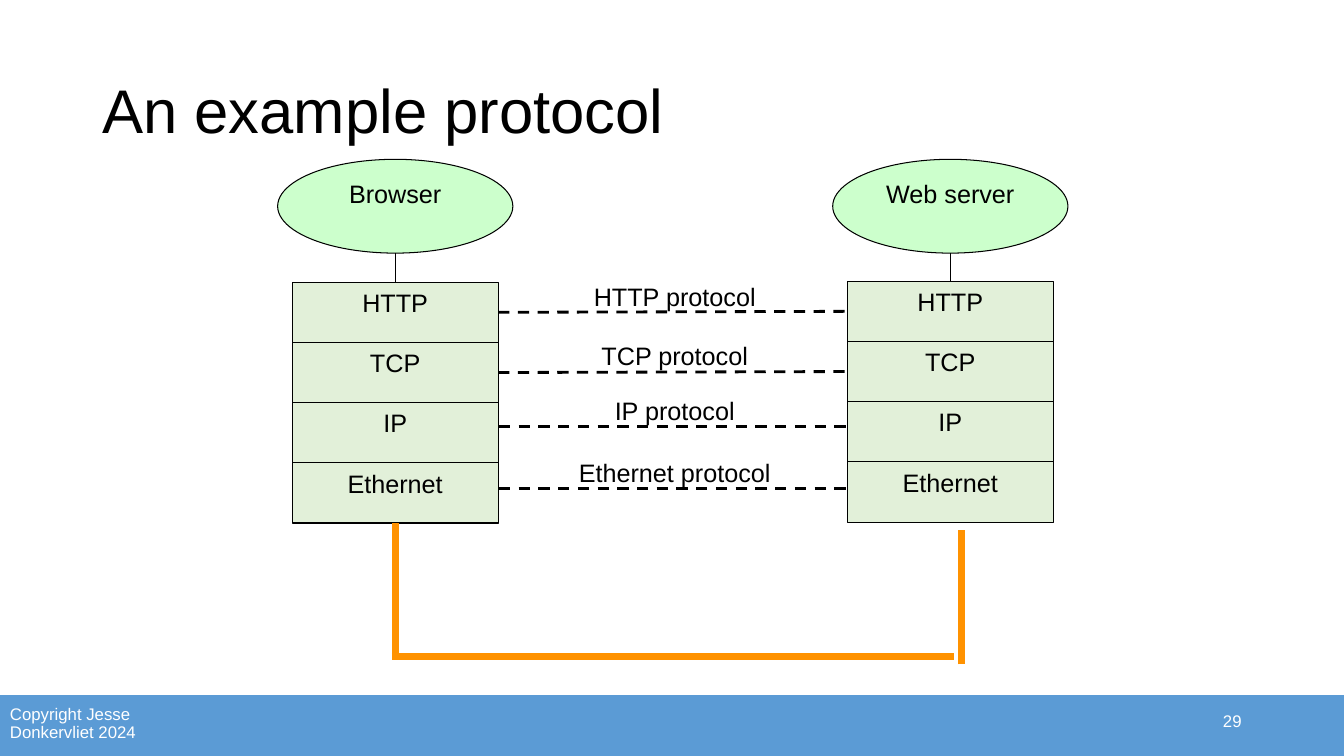
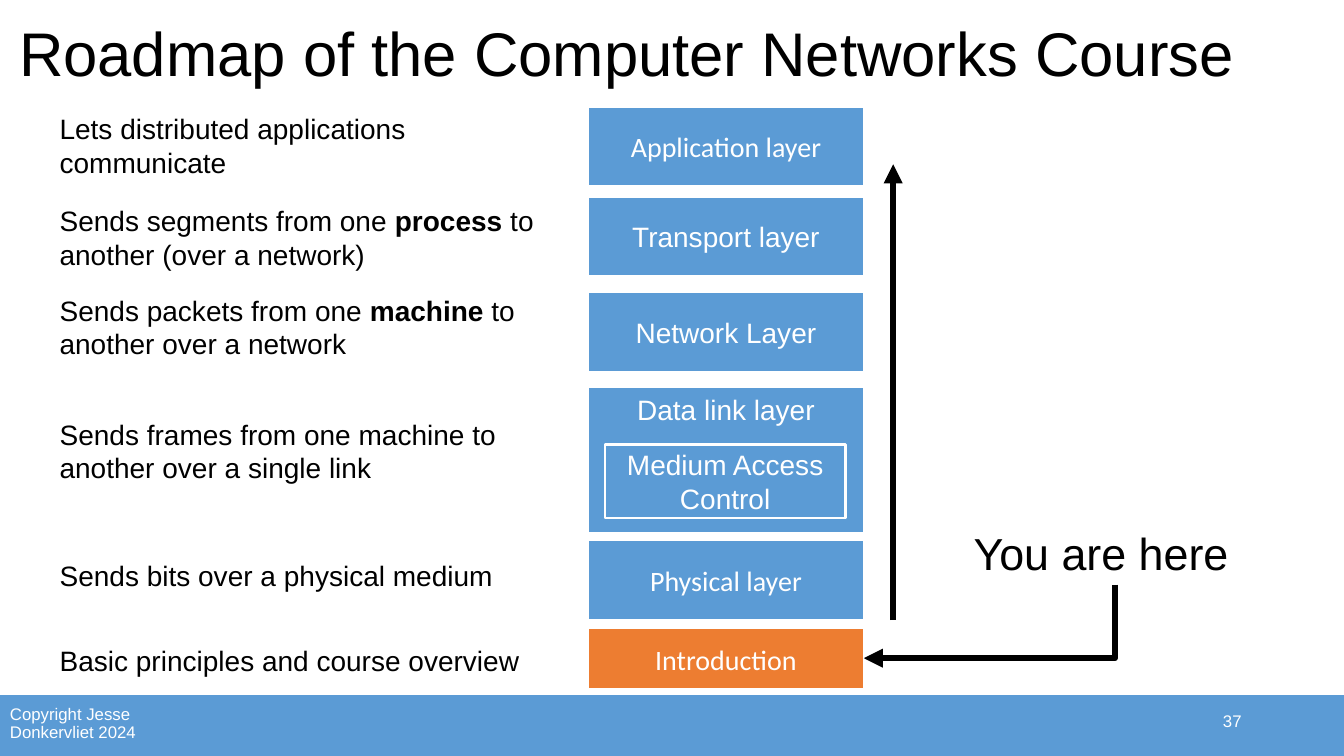
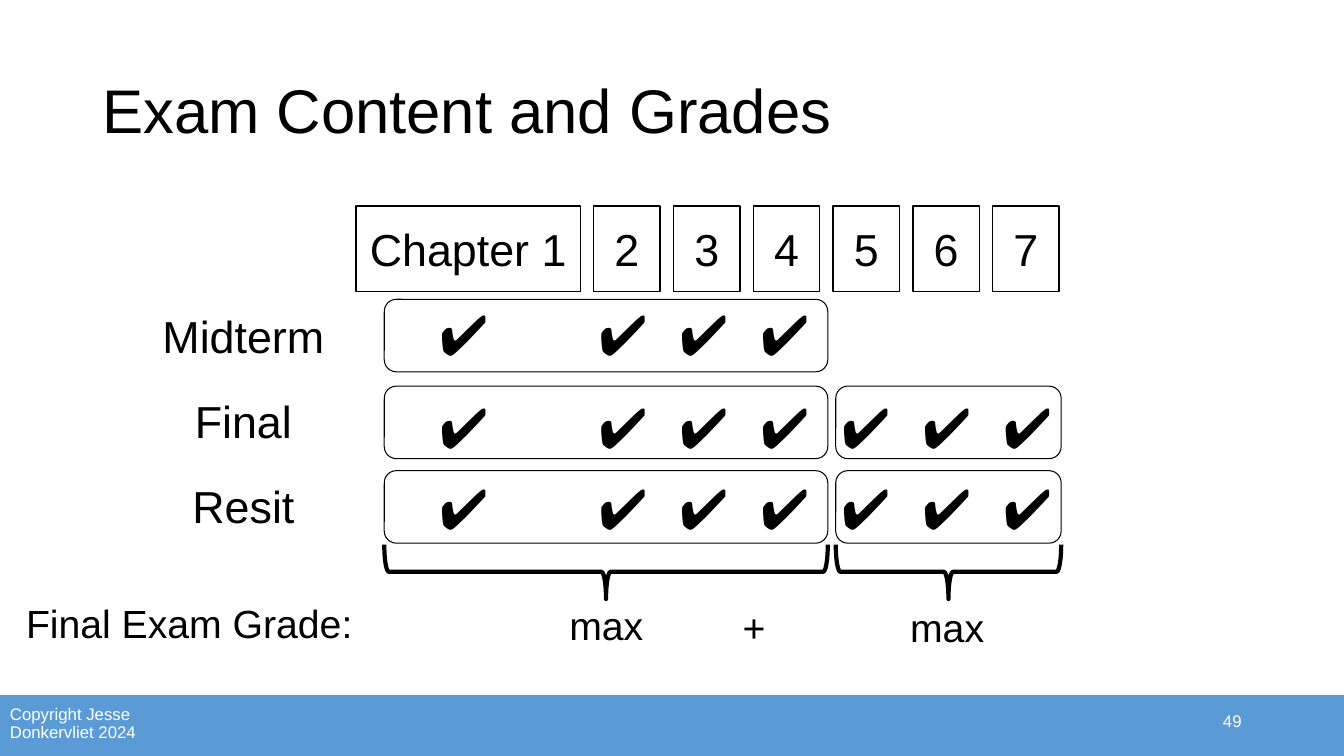
from dataclasses import dataclass
from typing import NamedTuple

from lxml.etree import SubElement
from pptx import Presentation
from pptx.dml.color import RGBColor
from pptx.enum.dml import MSO_LINE
from pptx.enum.shapes import MSO_CONNECTOR as Link, MSO_SHAPE as Preset
from pptx.enum.text import MSO_ANCHOR as Anchor, PP_ALIGN as Align
from pptx.oxml.ns import qn
from pptx.shapes.autoshape import Shape
from pptx.shapes.connector import Connector
from pptx.slide import Slide
from pptx.util import Pt

COLORS = {
    "black": "000000",
    "white": "FFFFFF",
    "blue": "5B9BD5",
    "orange": "ED7D31",
    "cable": "FF9200",
    "program": "CCFFCC",
    "protocol": "E2F0D9",
}
SLIDE_WIDTH, SLIDE_HEIGHT = 960, 540
BAND_TOP = 496.5


class Box(NamedTuple):
    left: float
    top: float
    width: float
    height: float


class Point(NamedTuple):
    x: float
    y: float


@dataclass(frozen=True)
class TextStyle:
    size: float
    color: str = "black"
    align: Align = Align.LEFT
    anchor: Anchor = Anchor.TOP
    font: str = "Arial"
    spacing: float = 1.0
    wrap: bool = True


TITLE = TextStyle(44, anchor=Anchor.MIDDLE, spacing=0.9)
FOOTER = TextStyle(12, "white", anchor=Anchor.MIDDLE, spacing=0.9)
PAGE_NUMBER = TextStyle(12, "white", Align.RIGHT, Anchor.MIDDLE)
TITLE_BOX = Box(66, 29, 828, 104)


def rgb(name: str) -> RGBColor:
    return RGBColor.from_string(COLORS[name])


def write(shape: Shape, parts: tuple[str, ...], style: TextStyle) -> None:
    frame = shape.text_frame
    frame.word_wrap = style.wrap
    frame.vertical_anchor = style.anchor
    paragraph = frame.paragraphs[0]
    paragraph.alignment = style.align
    paragraph.line_spacing = style.spacing
    paragraph.font.size = Pt(style.size)
    paragraph.font.name = style.font
    paragraph.font.color.rgb = rgb(style.color)
    for index, part in enumerate(parts):
        run = paragraph.add_run()
        run.text = part
        if index % 2:
            run.font.bold = True


def add_text(slide: Slide, box: Box, style: TextStyle, *parts: str) -> None:
    write(slide.shapes.add_textbox(*map(Pt, box)), parts, style)


def add_block(slide: Slide, preset: Preset, box: Box, fill: str = "", line: str = "",
              weight: float = 0.75, text: str = "", style: TextStyle | None = None) -> Shape:
    block = slide.shapes.add_shape(preset, *map(Pt, box))
    block.shadow.inherit = False
    if fill:
        block.fill.solid()
        block.fill.fore_color.rgb = rgb(fill)
    else:
        block.fill.background()
    if line:
        block.line.color.rgb = rgb(line)
        block.line.width = Pt(weight)
    else:
        block.line.fill.background()
    if style:
        write(block, (text,), style)
    return block


def add_line(slide: Slide, start: Point, end: Point, weight: float, color: str = "black",
             kind: Link = Link.STRAIGHT, dashed: bool = False, arrow: bool = False) -> Connector:
    line = slide.shapes.add_connector(kind, *map(Pt, (*start, *end)))
    line.line.color.rgb = rgb(color)
    line.line.width = Pt(weight)
    if dashed:
        line.line.dash_style = MSO_LINE.DASH
    properties = line._element.spPr
    if arrow:
        SubElement(properties.find(qn("a:ln")), qn("a:tailEnd"), type="triangle")
    SubElement(properties, qn("a:effectLst"))
    return line


def start_slide(deck: Presentation, title: str, number: int, title_box: Box = TITLE_BOX) -> Slide:
    slide = deck.slides.add_slide(deck.slide_layouts[6])
    band = Box(0, BAND_TOP, SLIDE_WIDTH, SLIDE_HEIGHT - BAND_TOP)
    add_block(slide, Preset.RECTANGLE, band, "blue")
    add_text(slide, Box(0, 499, 106, 36), FOOTER, "Copyright Jesse Donkervliet 2024")
    add_text(slide, title_box, TITLE, title)
    add_text(slide, Box(678, 500.4, 216, 28.8), PAGE_NUMBER, str(number))
    return slide


class Protocol(NamedTuple):
    name: str
    line_y: float


PROTOCOLS = (
    Protocol("HTTP", 223.2),
    Protocol("TCP", 265.7),
    Protocol("IP", 304.6),
    Protocol("Ethernet", 349.2),
)


def add_host(slide: Slide, program: str, left: float, top: float) -> list[Shape]:
    style = TextStyle(18, align=Align.CENTER)
    width, height = 147, 43
    program_box = Box(left - 10.5, 113.8, 168, 67)
    center = left + width / 2
    add_block(slide, Preset.OVAL, program_box, "program", "black", text=program, style=style)
    stack = [
        add_block(slide, Preset.RECTANGLE, Box(left, top + row * height, width, height),
                  "protocol", "black", text=protocol.name, style=style)
        for row, protocol in enumerate(PROTOCOLS)
    ]
    stem = add_line(slide, Point(center, program_box.top + program_box.height),
                    Point(center, top), 0.75)
    stem.end_connect(stack[0], 0)
    return stack


def build_protocol_slide(deck: Presentation) -> None:
    slide = start_slide(deck, "An example protocol", 29)
    browser = add_host(slide, "Browser", 208.8, 201.6)
    server = add_host(slide, "Web server", 605.3, 200.9)

    cable = add_line(slide, Point(282.3, 373.6), Point(282.3, 469.4), 5, "cable")
    cable.begin_connect(browser[-1], 2)
    add_line(slide, Point(280, 468.7), Point(681.8, 468.7), 5, "cable")
    add_line(slide, Point(687, 474.5), Point(687, 378.7), 5, "cable")

    label_style = TextStyle(18, align=Align.CENTER, wrap=False)
    for protocol, near, far in zip(PROTOCOLS, browser, server):
        y = protocol.line_y
        line = add_line(slide, Point(356.4, y), Point(607, y), 2, dashed=True)
        if abs((near.top + near.height / 2) - Pt(y)) < Pt(1):
            line.begin_connect(near, 3)
            line.end_connect(far, 1)
        add_text(slide, Box(402, y - 26, 160, 29), label_style, f"{protocol.name} protocol")


class Layer(NamedTuple):
    name: str
    top: float
    note_top: float
    note: tuple[str, ...]
    font: str = "Arial"
    height: float = 56.9
    fill: str = "blue"
    anchor: Anchor = Anchor.MIDDLE


LAYERS = (
    Layer("Application layer", 76.3, 76.3,
          ("Lets distributed applications communicate",), "Calibri"),
    Layer("Transport layer", 140.4, 141.8,
          ("Sends segments from one ", "process", " to another (over a network)")),
    Layer("Network Layer", 208.8, 206,
          ("Sends packets from one ", "machine", " to another over a network")),
    Layer("Data link layer", 276.5, 294.5,
          ("Sends frames from one machine to another over a single link",),
          height=104.4, anchor=Anchor.TOP),
    Layer("Physical layer", 386, 395.3, ("Sends bits over a physical medium",), "Calibri"),
    Layer("Introduction", 448.6, 455.8, ("Basic principles and course overview",),
          "Calibri", 43.9, "orange"),
)


def build_roadmap_slide(deck: Presentation) -> None:
    slide = start_slide(deck, "Roadmap of the Computer Networks Course", 37,
                        Box(6.5, 6.5, 932.4, 67.7))
    for layer in LAYERS:
        style = TextStyle(20, "white", Align.CENTER, layer.anchor, layer.font)
        add_block(slide, Preset.RECTANGLE, Box(420.3, layer.top, 196.6, layer.height),
                  layer.fill, "white", 1.5, layer.name, style)
        add_text(slide, Box(35.5, layer.note_top, 383.8, 55.4), TextStyle(20), *layer.note)
    add_block(slide, Preset.RECTANGLE, Box(432, 317.5, 172, 52.6), "blue", "white", 1.5,
              "Medium Access Control", TextStyle(20, "white", Align.CENTER, Anchor.MIDDLE))

    add_text(slide, Box(688.3, 372.2, 216, 46), TextStyle(32), "You are here")
    pointer = add_line(slide, Point(680.4, 354.2), Point(733, 533.5), 4.5,
                       kind=Link.ELBOW, arrow=True)
    pointer.rotation = 90
    outline = pointer._element.spPr
    outline.find(qn("a:xfrm")).set("rot", "5400000")
    outline.find(qn("a:prstGeom")).set("prst", "bentConnector2")
    add_line(slide, Point(638, 443), Point(638, 117.4), 4.5, arrow=True)


class Exam(NamedTuple):
    name: str
    check_top: float
    frame_top: float
    chapters: int


class Part(NamedTuple):
    left: float
    width: float
    last_chapter: int
    max_left: float
    max_top: float


EXAMS = (
    Exam("Midterm", 210.2, 213.8, 4),
    Exam("Final", 277.2, 275.8, 7),
    Exam("Resit", 334.8, 336.2, 7),
)
PARTS = (Part(274.5, 316.8, 4, 399.6, 426.2), Part(597, 161, 7, 643, 427.7))


def build_exam_slide(deck: Presentation) -> None:
    slide = start_slide(deck, "Exam Content and Grades", 49)
    heading = TextStyle(32, align=Align.CENTER, anchor=Anchor.MIDDLE)
    check = TextStyle(40, wrap=False)
    grade = TextStyle(28, wrap=False)
    wide, tall = 160.6, 61.2

    add_block(slide, Preset.RECTANGLE, Box(254.2, 147, wide, tall), "white", "black", 1,
              "Chapter 1", heading)
    for chapter in range(2, 8):
        add_block(slide, Preset.RECTANGLE, Box(424.1 + 57 * (chapter - 2), 147, 47.5, tall),
                  "white", "black", 1, str(chapter), heading)

    check_lefts = [306.7] + [420.5 + 57.8 * step for step in range(6)]
    for row, exam in enumerate(EXAMS):
        add_block(slide, Preset.RECTANGLE, Box(93.6, 208.8 + 61 * row, wide, tall),
                  text=exam.name, style=heading)
        for left in check_lefts[:exam.chapters]:
            add_text(slide, Box(left, exam.check_top, 54.7, 55.4), check, "✔")
        for part in PARTS:
            if part.last_chapter <= exam.chapters:
                add_block(slide, Preset.ROUNDED_RECTANGLE,
                          Box(part.left, exam.frame_top, part.width, 51.8), line="black")

    depth, brace_middle = 38.9, 408.4
    for part in PARTS:
        center = part.left + part.width / 2
        brace = add_block(slide, Preset.LEFT_BRACE,
                          Box(center - depth / 2, brace_middle - part.width / 2,
                              depth, part.width), line="black", weight=3)
        brace.rotation = 270
        add_text(slide, Box(part.max_left, part.max_top, 68.4, 41), grade, "max")
    add_text(slide, Box(11.5, 424.8, 250.6, 41), grade, "Final Exam Grade:")
    add_text(slide, Box(523.4, 427.7, 31, 41), grade, "+")


def main() -> None:
    deck = Presentation()
    deck.slide_width, deck.slide_height = Pt(SLIDE_WIDTH), Pt(SLIDE_HEIGHT)
    build_protocol_slide(deck)
    build_roadmap_slide(deck)
    build_exam_slide(deck)
    deck.save("out.pptx")


if __name__ == "__main__":
    main()
